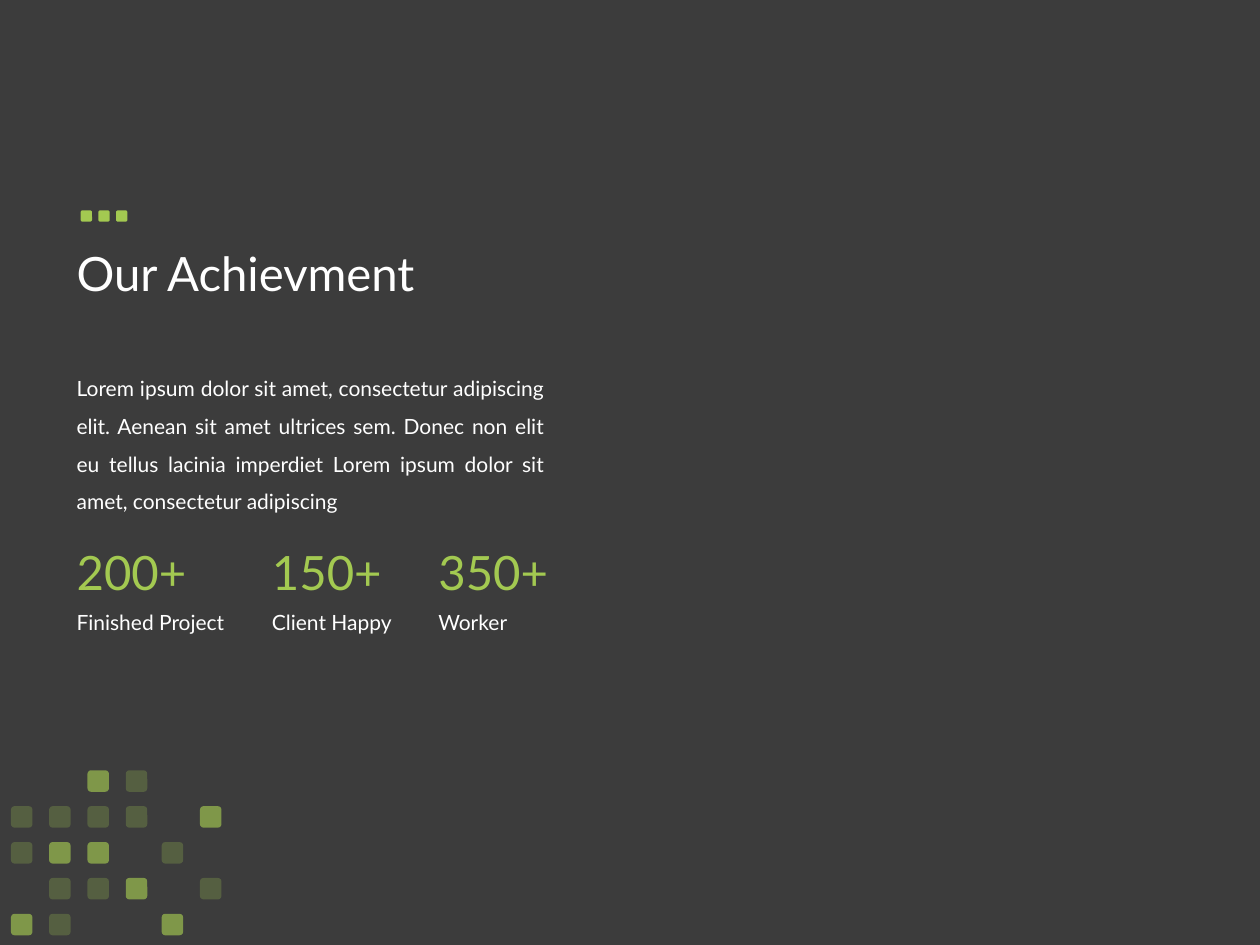
from lxml import etree
from pptx import Presentation
from pptx.dml.color import RGBColor
from pptx.enum.shapes import MSO_SHAPE
from pptx.enum.text import MSO_ANCHOR, MSO_AUTO_SIZE, PP_ALIGN
from pptx.oxml.ns import qn
from pptx.util import Pt

ROUNDED = MSO_SHAPE.ROUNDED_RECTANGLE
MIDDLE = MSO_ANCHOR.MIDDLE
GROW = MSO_AUTO_SIZE.SHAPE_TO_FIT_TEXT
JUSTIFY = PP_ALIGN.JUSTIFY

COLORS = {"background": "3C3C3C", "green": "A3C951", "white": "FFFFFF"}
FONT = "Lato"
LEFT = 36.7
BODY = (
    "Lorem ipsum dolor sit amet, consectetur adipiscing elit. "
    "Aenean sit amet ultrices sem. Donec non elit eu tellus lacinia imperdiet "
    "Lorem ipsum dolor sit amet, consectetur adipiscing"
)
STATS = [
    (LEFT, "200+", "Finished Project"),
    (148.3, "150+", "Client Happy"),
    (243.4, "350+", "Worker"),
]
TILE_COLUMNS = [6.3, 28.1, 50, 71.9, 92.4, 114.3]
TILE_ROWS = ["  Bd  ", "dddd B", "dBB d ", " ddB d", "Bd  B "]
TILE_OPACITY = {"B": 65, "d": 25}


def add_text(slide, bounds, text, size, color="white"):
    """Add a wrapped one-paragraph text box and return it."""
    box = slide.shapes.add_textbox(*map(Pt, bounds))
    frame = box.text_frame
    frame.word_wrap = True
    frame.auto_size = GROW
    para = frame.paragraphs[0]
    para.text = text
    para.font.name = FONT
    para.font.size = Pt(size)
    para.font.color.rgb = RGBColor.from_string(COLORS[color])
    return box


def add_tile(shapes, left, top, size, opacity=100):
    """Add a green rounded square with the given opacity in percent."""
    tile = shapes.add_shape(ROUNDED, Pt(left), Pt(top), Pt(size), Pt(size))
    tile.shadow.inherit = False
    tile.line.fill.background()
    tile.fill.solid()
    tile.fill.fore_color.rgb = RGBColor.from_string(COLORS["green"])
    if opacity < 100:
        color = tile.fill._xPr.find(".//" + qn("a:srgbClr"))
        etree.SubElement(color, qn("a:alpha"), val=str(opacity * 1000))


def add_title(slide):
    """Add the vertically centred slide title."""
    box = add_text(slide, (LEFT, 105.8, 620.6, 104.4), "Our Achievment", 27)
    box.text_frame.auto_size = MSO_AUTO_SIZE.NONE
    box.text_frame.vertical_anchor = MIDDLE
    box.text_frame.paragraphs[0].line_spacing = 0.9


def add_body(slide):
    """Add the justified description."""
    box = add_text(slide, (LEFT, 203.8, 281.5, 91.4), BODY, 12)
    para = box.text_frame.paragraphs[0]
    para.alignment = JUSTIFY
    para.line_spacing = 1.5


def add_stat(slide, left, value, label):
    """Add a large figure with its label below."""
    add_text(slide, (left, 306.7, 85.7, 40.3), value, 27, "green")
    add_text(slide, (left, 344.9, 126.7, 21.6), label, 12)


def add_mosaic(slide):
    """Add the corner pattern of translucent tiles."""
    group = slide.shapes.add_group_shape()
    for row, marks in enumerate(TILE_ROWS):
        for left, mark in zip(TILE_COLUMNS, marks):
            if mark in TILE_OPACITY:
                top = 440.2 + row * 20.5
                add_tile(group.shapes, left, top, 12.3, TILE_OPACITY[mark])


def add_accent(slide):
    """Add the three small squares above the title."""
    group = slide.shapes.add_group_shape()
    for index in range(3):
        add_tile(group.shapes, 46.1 + index * 10.1, 120.2, 6.5)


def main():
    """Build and save the achievement slide."""
    deck = Presentation()
    deck.slide_width, deck.slide_height = Pt(720), Pt(540)
    slide = deck.slides.add_slide(deck.slide_layouts[6])
    fill = slide.background.fill
    fill.solid()
    fill.fore_color.rgb = RGBColor.from_string(COLORS["background"])
    add_title(slide)
    for left, value, label in STATS:
        add_stat(slide, left, value, label)
    add_body(slide)
    add_mosaic(slide)
    add_accent(slide)
    deck.save("out.pptx")


if __name__ == "__main__":
    main()
